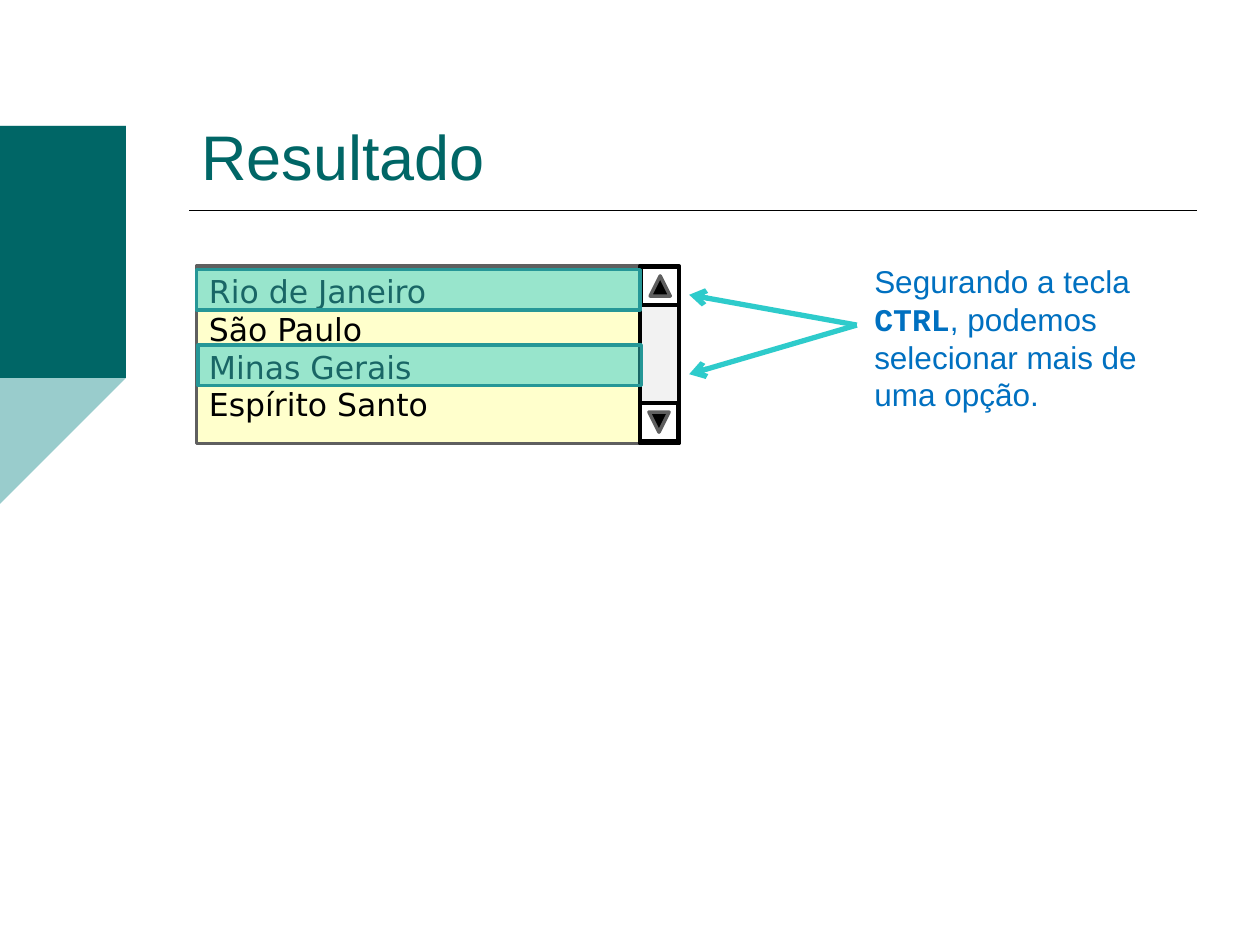
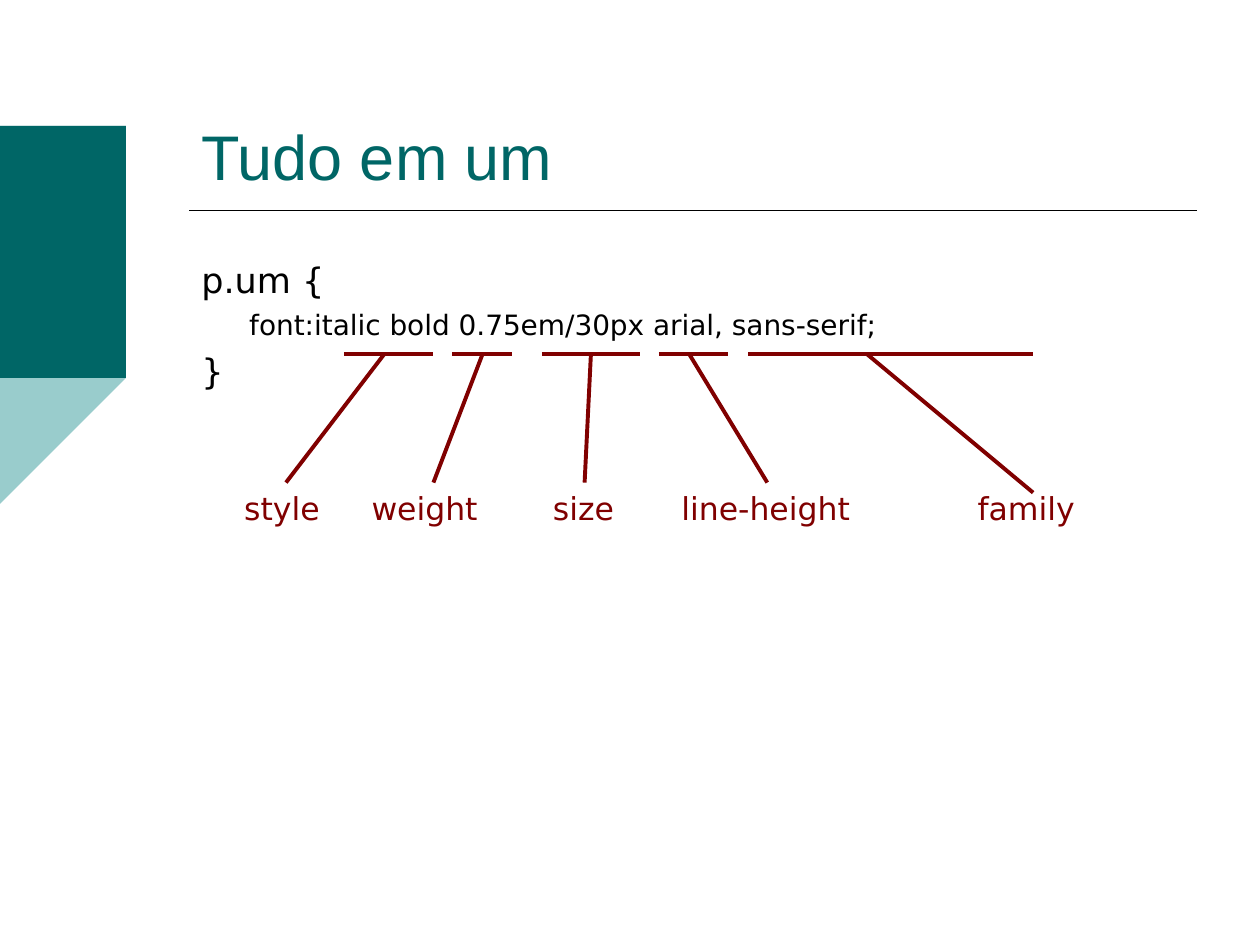
"""Build two course slides: a multiple-selection list and the CSS font shorthand."""
from lxml.etree import SubElement as sub_element
from pptx import Presentation
from pptx.dml.color import RGBColor
from pptx.enum.shapes import MSO_CONNECTOR as CONNECTOR, MSO_SHAPE as SHAPE
from pptx.enum.text import MSO_ANCHOR as ANCHOR, PP_ALIGN as ALIGN
from pptx.oxml.ns import qn
from pptx.util import Inches, Pt

COLORS = {
    "teal": "006666", "pale_teal": "99CCCC", "black": "000000", "white": "FFFFFF",
    "cream": "FFFFCC", "gray": "5F5F5F", "track": "F2F2F2", "selection": "33CCCC",
    "selection_edge": "269797", "arrow": "2ECBCB", "note": "0070C0", "maroon": "800000",
}
SANS, TITLE_FONT, MONO = "DejaVu Sans", "Arial", "Courier New"

LIGHT_DISC = [[(0, 1.06), (0.6, 1.38), (0.96, 1.9), (0.96, 2.46)],
              [(0.96, 2.46), (0.96, 3.02), (0.6, 3.54), (0, 3.86)]]
DARK_DISC = [[(0, 0.3), (0.46, 0.62), (0.73, 1.16), (0.73, 1.72)],
             [(0.73, 1.72), (0.73, 2.29), (0.46, 2.83), (0, 3.15)]]


def color(name):
    """Return the palette colour called name."""
    return RGBColor.from_string(COLORS[name])


def add_text(frame, text, size=18, font=SANS, ink="black", bold=False,
             same_line=False, before=0, indent=0):
    """Write text into a frame, on a new paragraph unless same_line is set."""
    paragraph = frame.paragraphs[-1]
    if paragraph.runs and not same_line:
        paragraph = frame.add_paragraph()
    if not same_line:
        paragraph.alignment = ALIGN.LEFT
        paragraph.space_before = Pt(before)
        if indent:
            paragraph._p.get_or_add_pPr().set("marL", str(Inches(indent)))
    run = paragraph.add_run()
    run.text = text
    run.font.size, run.font.name, run.font.bold = Pt(size), font, bold
    run.font.color.rgb = color(ink)


def add_frame(slide, left, top, width, height, wrap=True, anchor=ANCHOR.TOP):
    """Add a text box and return its empty text frame."""
    frame = slide.shapes.add_textbox(
        Inches(left), Inches(top), Inches(width), Inches(height)).text_frame
    frame.word_wrap, frame.vertical_anchor = wrap, anchor
    return frame


def add_block(slide, left, top, width, height, fill, edge,
              kind=SHAPE.RECTANGLE, alpha=None, rotation=0):
    """Add an outlined shape, translucent when alpha is a percentage."""
    block = slide.shapes.add_shape(
        kind, Inches(left), Inches(top), Inches(width), Inches(height))
    block.shadow.inherit = False
    block.rotation = rotation
    block.fill.solid()
    block.fill.fore_color.rgb = color(fill)
    block.line.color.rgb = color(edge)
    block.line.width = Pt(2)
    if alpha:
        tint = block._element.spPr.find(qn("a:solidFill"))[0]
        sub_element(tint, qn("a:alpha"), val=str(alpha * 1000))
    return block


def add_line(slide, start, end, ink, weight, arrow=False):
    """Draw a straight line between two points, with an optional arrowhead at its end."""
    line = slide.shapes.add_connector(CONNECTOR.STRAIGHT, *map(Inches, start + end))
    line.line.color.rgb = color(ink)
    line.line.width = Pt(weight)
    if arrow:
        sub_element(line.line._get_or_add_ln(), qn("a:tailEnd"), type="arrow")
    sub_element(line._element.spPr, qn("a:effectLst"))


def bezier_point(curve, t):
    """Return the point of a cubic curve at parameter t."""
    weights = ((1 - t) ** 3, 3 * t * (1 - t) ** 2, 3 * t * t * (1 - t), t ** 3)
    return tuple(sum(w * point[axis] for w, point in zip(weights, curve)) for axis in (0, 1))


def add_disc(slide, curves, fill, steps=24):
    """Fill the visible part of a disc cut off by the left slide edge."""
    outline = [bezier_point(curve, i / steps) for curve in curves for i in range(steps + 1)]
    builder = slide.shapes.build_freeform(*outline[0], scale=Inches(1))
    builder.add_line_segments(outline[1:], close=True)
    disc = builder.convert_to_shape()
    disc.shadow.inherit = False
    disc.fill.solid()
    disc.fill.fore_color.rgb = color(fill)
    disc.line.fill.background()


def add_titled_slide(deck, title):
    """Add a slide with the shared discs, rule and title."""
    slide = deck.slides.add_slide(deck.slide_layouts[6])
    add_disc(slide, LIGHT_DISC, "pale_teal")
    add_disc(slide, DARK_DISC, "teal")
    add_line(slide, (1.5, 1.67), (9.5, 1.67), "black", 1)
    heading = add_frame(slide, 1.5, 0.33, 8, 1.25, anchor=ANCHOR.BOTTOM)
    add_text(heading, title, size=36, font=TITLE_FONT, ink="teal")
    return slide


def add_state_list(slide):
    """Draw the list box with its scroll bar and two selected rows."""
    states = add_block(slide, 1.56, 2.11, 3.52, 1.41, "cream", "gray").text_frame
    states.vertical_anchor = ANCHOR.TOP
    for state in ("Rio de Janeiro", "São Paulo", "Minas Gerais", "Espírito Santo"):
        add_text(states, state)
    add_block(slide, 5.08, 2.11, 0.31, 1.41, "track", "black")
    for left, top, rotation in ((5.09, 2.12, 0), (5.08, 3.2, 180)):
        add_block(slide, left, top, 0.3, 0.3, "white", "black")
        add_block(slide, left + 0.07, top + 0.07, 0.16, 0.16, "black", "gray",
                  kind=SHAPE.ISOSCELES_TRIANGLE, rotation=rotation)
    for left, top in ((1.57, 2.74), (1.56, 2.14)):
        add_block(slide, left, top, 3.52, 0.32, "selection", "selection_edge", alpha=50)


def build_result_slide(deck):
    """Show the selected options and how to select them."""
    slide = add_titled_slide(deck, "Resultado")
    add_state_list(slide)
    for row_y in (2.34, 2.97):
        add_line(slide, (6.8, 2.58), (5.47, row_y), "arrow", 3, arrow=True)
    note = add_frame(slide, 6.84, 2.03, 2.31, 1.31, wrap=False)
    style = {"font": TITLE_FONT, "ink": "note"}
    add_text(note, "Segurando a tecla", **style)
    add_text(note, "CTRL", font=MONO, ink="note", bold=True)
    add_text(note, ", podemos", same_line=True, **style)
    add_text(note, "selecionar mais de", **style)
    add_text(note, "uma opção.", **style)


def build_shorthand_slide(deck):
    """Label each part of the CSS font shorthand."""
    slide = add_titled_slide(deck, "Tudo em um")
    code = add_frame(slide, 1.5, 2, 8, 4.5)
    add_text(code, "p.um {", size=20)
    add_text(code, "font:italic bold 0.75em/30px arial, sans-serif;",
             size=16, before=4, indent=0.38)
    add_text(code, "}", size=20, before=5)
    underline_y, label_y = 2.81, 3.83
    parts = (
        ("style", 2.73, 3.44, 3.05, (2.27, label_y), 1.84, 0.8),
        ("weight", 3.59, 4.06, 3.83, (3.44, label_y), 2.85, 1.05),
        ("size", 4.3, 5.08, 4.69, (4.64, label_y), 4.29, 0.69),
        ("line-height", 5.23, 5.78, 5.47, (6.09, label_y), 5.31, 1.56),
        ("family", 5.94, 8.2, 6.88, (8.2, 3.91), 7.66, 0.98),
    )
    for label, start, end, stem, foot, left, width in parts:
        add_line(slide, (stem, underline_y), foot, "maroon", 2.25)
        add_line(slide, (start, underline_y), (end, underline_y), "maroon", 2.25)
        add_text(add_frame(slide, left, label_y, width, 0.4, wrap=False), label, ink="maroon")


def main():
    """Build and save the deck."""
    deck = Presentation()
    deck.slide_width, deck.slide_height = Inches(10), Inches(7.5)
    build_result_slide(deck)
    build_shorthand_slide(deck)
    deck.save("out.pptx")


if __name__ == "__main__":
    main()
